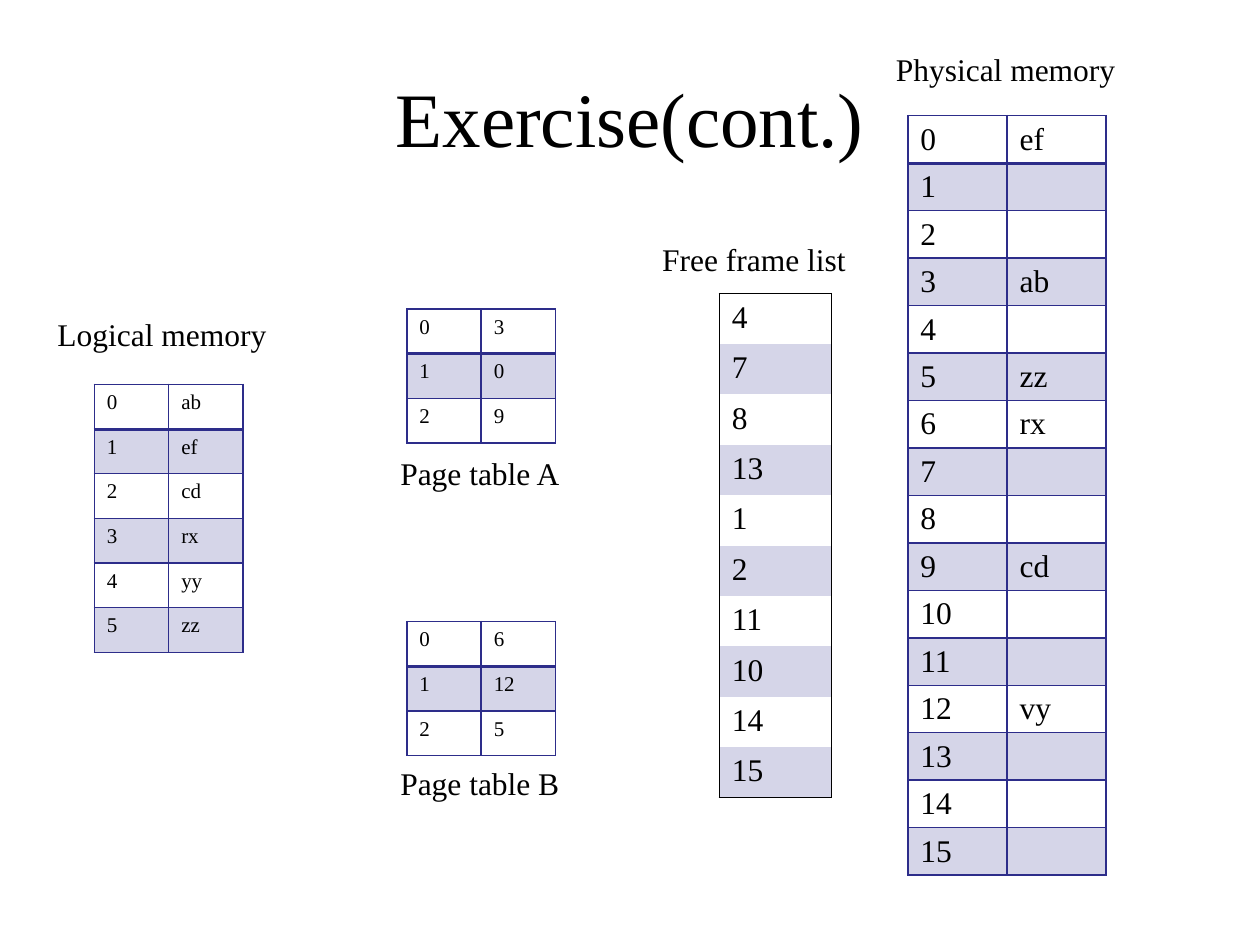
import pptx
import pptx.dml.color
import pptx.enum.text
import pptx.oxml
import pptx.oxml.ns
import pptx.util
from pptx.util import Cm

FONT = "Times New Roman"
BLACK, NAVY, LAVENDER = "000000", "2D2D8A", "D5D5E8"
NO_STYLE = "{2D5ABB26-0587-4C30-8999-92F81FD0307C}"
MARGIN_TOP, MARGIN_BOTTOM = 0.13, 0.04

# text, left, top, width in cm
LABELS = [
    ("Free frame list", 13.1, 4.72, 4.47),
    ("Physical memory", 17.81, 0.89, 4.98),
    ("Logical memory", 0.91, 6.22, 4.78),
    ("Page table A", 7.82, 9.03, 3.76),
    ("Page table B", 7.82, 15.27, 3.76),
]

logical_pages = list(enumerate(["ab", "ef", "cd", "rx", "yy", "zz"]))
page_table_a = list(enumerate([3, 0, 9]))
page_table_b = list(enumerate([6, 12, 5]))
free_frames = [(frame,) for frame in (4, 7, 8, 13, 1, 2, 11, 10, 14, 15)]
frame_contents = {0: "ef", 3: "ab", 5: "zz", 6: "rx", 9: "cd", 12: "vy"}
physical_frames = [(frame, frame_contents.get(frame, "")) for frame in range(16)]

# rows, left, top, column width, table height in cm, text size, gridded
TABLES = [
    (logical_pages, 1.9, 7.75, 1.5, 5.4, 12, True),
    (physical_frames, 18.3, 2.33, 2, 15.32, 18, True),
    (free_frames, 14.5, 5.92, 2.26, 10.16, 18, False),
    (page_table_a, 8.2, 6.23, 1.5, 2.7, 12, True),
    (page_table_b, 8.2, 12.53, 1.5, 2.7, 12, True),
]


def rgb(color):
    return pptx.dml.color.RGBColor.from_string(color)


def write(paragraph, text, size):
    run = paragraph.add_run()
    run.text = text
    run.font.name = FONT
    run.font.size = pptx.util.Pt(size)
    run.font.color.rgb = rgb(BLACK)


def add_label(slide, text, left, top, width, height=1.02, size=18):
    label = slide.shapes.add_textbox(Cm(left), Cm(top), Cm(width), Cm(height))
    label.text_frame.word_wrap = False
    write(label.text_frame.paragraphs[0], text, size)
    return label


def set_border(cell, side, color, points):
    width = pptx.util.Pt(points)
    cell._tc.get_or_add_tcPr().append(pptx.oxml.parse_xml(
        f'<a:ln{side} {pptx.oxml.ns.nsdecls("a")} w="{width}"><a:solidFill>'
        f'<a:srgbClr val="{color}"/></a:solidFill></a:ln{side}>'))


def border_cell(cell, row, last_row, gridded):
    """Full grid with a heavy rule under the first row, or an outline only."""
    if gridded:
        widths = {"L": 1, "R": 1, "T": 2 if row == 1 else 1, "B": 2 if row == 0 else 1}
    else:
        widths = {"L": 1, "R": 1, "T": int(row == 0), "B": int(row == last_row)}
    for side, points in widths.items():
        if points:
            set_border(cell, side, NAVY if gridded else BLACK, points)


def fill_band(cell, row):
    """Tint every second row."""
    if row % 2 == 0:
        cell.fill.background()
    else:
        cell.fill.solid()
        cell.fill.fore_color.rgb = rgb(LAVENDER)


def add_memory_table(slide, rows, left, top, column_width, height, size, gridded):
    columns = len(rows[0])
    table = slide.shapes.add_table(
        len(rows), columns, Cm(left), Cm(top),
        Cm(columns * column_width), Cm(height)).table
    table.first_row = table.horz_banding = False
    table._tbl.tblPr.find(pptx.oxml.ns.qn("a:tableStyleId")).text = NO_STYLE
    for r, values in enumerate(rows):
        for c, value in enumerate(values):
            cell = table.cell(r, c)
            cell.margin_top, cell.margin_bottom = Cm(MARGIN_TOP), Cm(MARGIN_BOTTOM)
            border_cell(cell, r, len(rows) - 1, gridded)
            fill_band(cell, r)
            paragraph = cell.text_frame.paragraphs[0]
            if value == "":
                # keeps an empty cell from stretching its row
                paragraph._p.get_or_add_endParaRPr().set("sz", "1200")
            else:
                write(paragraph, str(value), size)


def main():
    deck = pptx.Presentation()
    deck.slide_width, deck.slide_height = Cm(25.4), Cm(19.05)
    slide = deck.slides.add_slide(deck.slide_layouts[6])

    title = add_label(slide, "Exercise(cont.)", 1.27, 0.76, 22.86, 3.18, 44)
    title.text_frame.word_wrap = True
    title.text_frame.vertical_anchor = pptx.enum.text.MSO_ANCHOR.MIDDLE
    title.text_frame.paragraphs[0].alignment = pptx.enum.text.PP_ALIGN.CENTER

    for memory_table in TABLES:
        add_memory_table(slide, *memory_table)
    for label in LABELS:
        add_label(slide, *label)

    deck.save("out.pptx")


if __name__ == "__main__":
    main()
